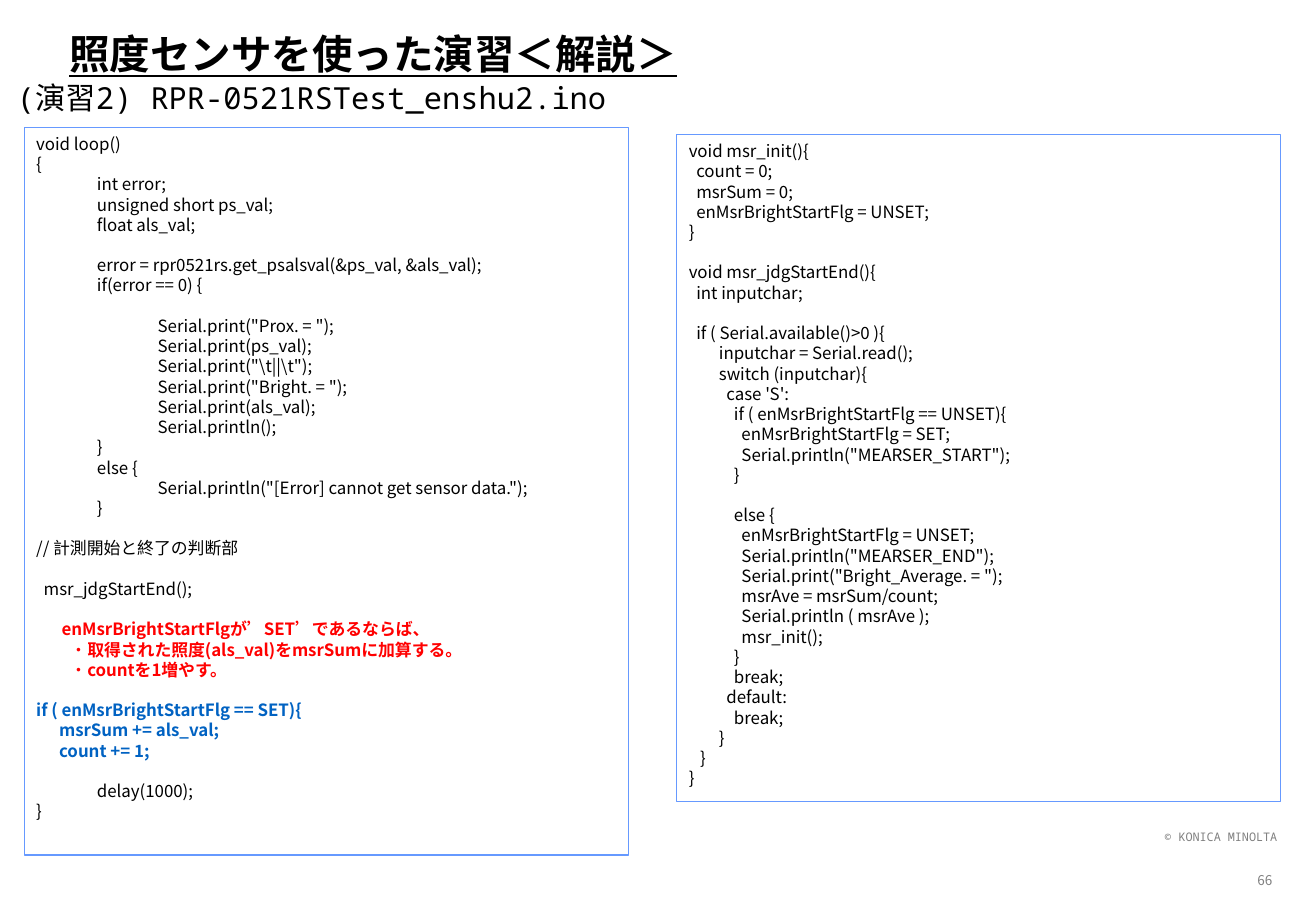
"""Build the light sensor exercise slide with its two code panels."""
from dataclasses import dataclass
from typing import Any

from lxml.etree import SubElement
from pptx import Presentation
from pptx.dml.color import RGBColor
from pptx.enum.shapes import MSO_SHAPE
from pptx.enum.text import MSO_ANCHOR, MSO_AUTO_SIZE, PP_ALIGN
from pptx.oxml.ns import qn
from pptx.util import Inches, Pt

COLORS = {
    "text": "000000",
    "note": "FF0000",
    "answer": "0062C2",
    "footer": "808080",
    "panel": "FFFFFF",
    "border": "6699FF",
}
SANS = "Noto Sans CJK JP"
MONO = "Noto Sans Mono"
TAB = 0.5
LINE_PITCH = Pt(12)
BULLET_HANG = 0.14


@dataclass(frozen=True)
class Passage:
    """Lines of one look; an empty line becomes space before the next."""
    text: str
    color: str = "text"
    bold: bool = False
    indent: float = 0
    bullet: str = ""


@dataclass(frozen=True)
class Style:
    """Format values for a frame, its paragraphs and its fonts."""
    frame: dict[str, Any]
    paragraph: dict[str, Any]
    font: dict[str, Any]


@dataclass(frozen=True)
class Block:
    """A placed text with its style."""
    box: tuple[float, float, float, float]
    passages: tuple[Passage, ...]
    style: Style


TOP = {"word_wrap": True, "auto_size": MSO_AUTO_SIZE.NONE, "vertical_anchor": MSO_ANCHOR.TOP}
MIDDLE = TOP | {"vertical_anchor": MSO_ANCHOR.MIDDLE}
LEFT = {"alignment": PP_ALIGN.LEFT}

TITLE_STYLE = Style(MIDDLE, LEFT | {"line_spacing": 0.9},
                    {"name": MONO, "size": Pt(24), "underline": True})
SUBTITLE_STYLE = Style(TOP, LEFT, {"name": MONO, "size": Pt(18)})
CODE_STYLE = Style(TOP, LEFT | {"line_spacing": LINE_PITCH}, {"name": SANS, "size": Pt(10)})
COPYRIGHT_STYLE = Style(TOP, {"alignment": PP_ALIGN.RIGHT}, {"name": MONO, "size": Pt(7)})
NUMBER_STYLE = Style(MIDDLE, {"alignment": PP_ALIGN.CENTER}, {"name": SANS, "size": Pt(8)})

LOOP_CODE = """void loop()
{
\tint error;
\tunsigned short ps_val;
\tfloat als_val;

\terror = rpr0521rs.get_psalsval(&ps_val, &als_val);
\tif(error == 0) {

\t\tSerial.print("Prox. = ");
\t\tSerial.print(ps_val);
\t\tSerial.print("\\t||\\t");
\t\tSerial.print("Bright. = ");
\t\tSerial.print(als_val);
\t\tSerial.println();
\t}
\telse {
\t\tSerial.println("[Error] cannot get sensor data.");
\t}

// 計測開始と終了の判断部

  msr_jdgStartEnd();"""
ANSWER_CODE = """
if ( enMsrBrightStartFlg == SET){
      msrSum += als_val;
      count += 1;"""
LOOP_END = """
\tdelay(1000);
}"""
FUNCTION_CODE = """void msr_init(){
  count = 0;
  msrSum = 0;
  enMsrBrightStartFlg = UNSET;
}

void msr_jdgStartEnd(){
  int inputchar;

  if ( Serial.available()>0 ){
        inputchar = Serial.read();
        switch (inputchar){
          case 'S':
            if ( enMsrBrightStartFlg == UNSET){
              enMsrBrightStartFlg = SET;
              Serial.println("MEARSER_START");
            }

            else {
              enMsrBrightStartFlg = UNSET;
              Serial.println("MEARSER_END");
              Serial.print("Bright_Average. = ");
              msrAve = msrSum/count;
              Serial.println ( msrAve );
              msr_init();
            }
            break;
          default:
            break;
        }
   }
}"""

TITLE = Block((0.47, 0.21, 8.06, 0.51),
              (Passage("照度センサを使った演習＜解説＞", bold=True),), TITLE_STYLE)
LABELS = (
    Block((8.61, 6.78, 2, 0.22), (Passage("© KONICA MINOLTA", "footer"),), COPYRIGHT_STYLE),
    Block((10.21, 7.08, 0.4, 0.33), (Passage("66", "footer"),), NUMBER_STYLE),
    Block((0.04, 0.6, 10.38, 0.4),
          (Passage("(演習2) RPR-0521RSTest_enshu2.ino"),), SUBTITLE_STYLE),
)
PANELS = (
    Block((0.2, 1.05, 4.97, 5.99), (
        Passage(LOOP_CODE),
        Passage("\nenMsrBrightStartFlgが’SET’であるならば、", "note", True, 0.21),
        Passage("取得された照度(als_val)をmsrSumに加算する。\ncountを1増やす。",
                "note", True, 0.42, "・"),
        Passage(ANSWER_CODE, "answer", True),
        Passage(LOOP_END),
    ), CODE_STYLE),
    Block((5.57, 1.11, 4.97, 5.49), (Passage(FUNCTION_CODE),), CODE_STYLE),
)


def apply(target: Any, values: dict[str, Any]) -> None:
    """Set every named attribute on the target."""
    for name, value in values.items():
        setattr(target, name, value)


def set_layout(paragraph: Any, passage: Passage, line: str) -> None:
    """Add the indent, bullet and tab stops that a line needs."""
    properties = paragraph._p.get_or_add_pPr()
    if passage.indent:
        properties.set("marL", str(Inches(passage.indent)))
    if passage.bullet:
        properties.set("indent", str(-Inches(BULLET_HANG)))
        SubElement(properties, qn("a:buFont"), typeface=SANS)
        SubElement(properties, qn("a:buChar"), char=passage.bullet)
    if "\t" in line:
        stops = SubElement(properties, qn("a:tabLst"))
        for depth in range(1, line.count("\t") + 1):
            SubElement(stops, qn("a:tab"), pos=str(Inches(depth * TAB)), algn="l")


def write(shape: Any, block: Block) -> None:
    """Write the passages of a block into a shape."""
    frame = shape.text_frame
    apply(frame, block.style.frame)
    paragraph, gap = None, False
    for passage in block.passages:
        for line in passage.text.split("\n"):
            if not line:
                gap = True
                continue
            paragraph = frame.add_paragraph() if paragraph else frame.paragraphs[0]
            set_layout(paragraph, passage, line)
            spacing = {"space_before": LINE_PITCH if gap else Pt(0)}
            apply(paragraph, block.style.paragraph | spacing)
            run = paragraph.add_run()
            run.text = line
            apply(run.font, block.style.font | {"bold": passage.bold})
            run.font.color.rgb = RGBColor.from_string(COLORS[passage.color])
            SubElement(run.font._element, qn("a:ea"), typeface=SANS)
            gap = False


def main() -> None:
    """Build and save the slide."""
    deck = Presentation()
    apply(deck, {"slide_width": Inches(10.83), "slide_height": Inches(7.5)})
    slide = deck.slides.add_slide(deck.slide_layouts[5])
    title = slide.shapes.title
    apply(title, dict(zip(("left", "top", "width", "height"), map(Inches, TITLE.box))))
    write(title, TITLE)
    for label in LABELS:
        write(slide.shapes.add_textbox(*map(Inches, label.box)), label)
    for block in PANELS:
        panel = slide.shapes.add_shape(MSO_SHAPE.RECTANGLE, *map(Inches, block.box))
        panel.shadow.inherit = False
        panel.fill.solid()
        panel.fill.fore_color.rgb = RGBColor.from_string(COLORS["panel"])
        panel.line.color.rgb = RGBColor.from_string(COLORS["border"])
        panel.line.width = Pt(0.75)
        write(panel, block)
    deck.save("out.pptx")


if __name__ == "__main__":
    main()
